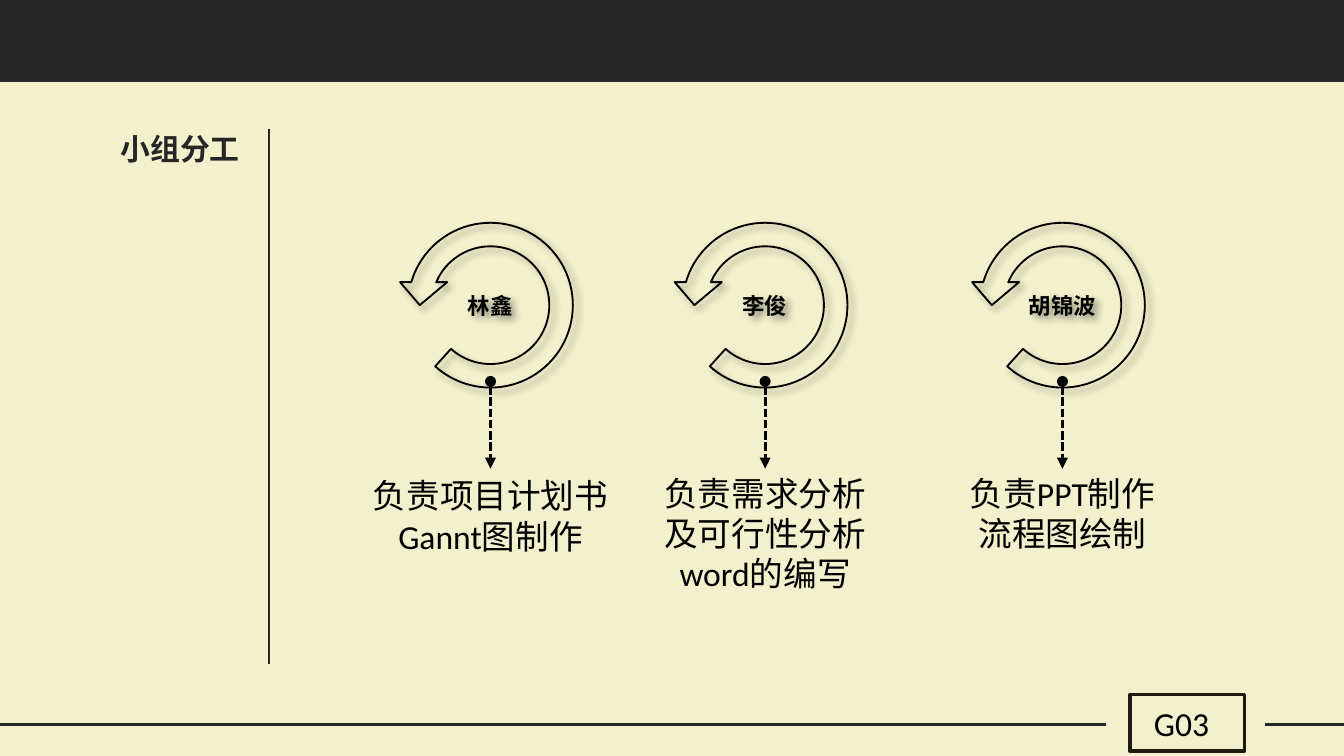
from lxml import etree
from pptx import Presentation
from pptx import util as u
from pptx.dml import color
from pptx.enum import dml, shapes, text
from pptx.oxml import ns

COLOURS = {"paper": "F3F0CD", "dark": "262626", "frame": "1E1C11", "ink": "000000"}
CJK = "Noto Sans CJK SC"
RING_ANGLES = (0.125, 11.42, 204.58, 28.75, 0.125)
RING_SIZE = 3.56
MEMBERS = [
    ("林鑫", 9.27, 8.86, 5.0, ["负责项目计划书", "Gannt图制作"]),
    ("李俊", 14.46, 8.81, 4.8, ["负责需求分析及可行性分析word的编写"]),
    ("胡锦波", 20.08, 8.81, 8.43, ["负责PPT制作", "流程图绘制"]),
]


def rgb(name):
    return color.RGBColor.from_string(COLOURS[name])


def add_xml(parent, tag, **values):
    return etree.SubElement(parent, ns.qn(tag), values)


def set_format(target, values):
    for attribute, value in values.items():
        setattr(target, attribute, value)


class Deck:
    """Holds the style and the current slide, and draws each kind of element."""

    def __init__(self, width, height):
        self.show = Presentation()
        set_format(self.show, {"slide_width": u.Cm(width), "slide_height": u.Cm(height)})
        self.slide = self.show.slides.add_slide(self.show.slide_layouts[5])
        paper = self.slide.background.fill
        paper.solid()
        paper.fore_color.rgb = rgb("paper")

    def set_text(self, holder, lines, size, font="Calibri", bold=False, ink="ink",
                 align=text.PP_ALIGN.CENTER, **frame_format):
        frame = holder.text_frame
        set_format(frame, {"word_wrap": True, "auto_size": text.MSO_AUTO_SIZE.NONE,
                           **frame_format})
        frame.text = "\n".join(lines)
        for paragraph in frame.paragraphs:
            paragraph.alignment = align
            run = paragraph.runs[0]
            set_format(run.font, {"name": font, "size": u.Pt(size), "bold": bold})
            run.font.color.rgb = rgb(ink)
            add_xml(run.font._element, "a:ea", typeface=CJK)

    def title(self, words, left, top, width, height):
        heading = self.slide.shapes.title
        set_format(heading, {"left": u.Cm(left), "top": u.Cm(top),
                             "width": u.Cm(width), "height": u.Cm(height)})
        self.set_text(heading, [words], 16, CJK, True, "dark",
                      vertical_anchor=text.MSO_ANCHOR.TOP)

    def label(self, lines, left, top, width, height, **style):
        box = self.slide.shapes.add_textbox(*map(u.Cm, (left, top, width, height)))
        self.set_text(box, lines, 18, **style)

    def block(self, kind, left, top, width, height, fill=None, line=None, weight=1):
        block = self.slide.shapes.add_shape(kind, *map(u.Cm, (left, top, width, height)))
        block.shadow.inherit = False
        if fill:
            block.fill.solid()
            block.fill.fore_color.rgb = rgb(fill)
        else:
            block.fill.background()
        if line:
            block.line.color.rgb = rgb(line)
            block.line.width = u.Pt(weight)
        else:
            block.line.fill.background()
        return block

    def ring(self, name, centre, top):
        ring = self.block(shapes.MSO_SHAPE.CIRCULAR_ARROW, centre - RING_SIZE / 2, top,
                          RING_SIZE, RING_SIZE, line="ink")
        for index, angle in enumerate(RING_ANGLES):
            ring.adjustments[index] = angle
        properties = ring._element.spPr
        properties.find(ns.qn("a:xfrm")).set("flipH", "1")
        shadow = add_xml(properties.find(ns.qn("a:effectLst")), "a:outerShdw",
                         blurRad=str(u.Pt(4)), dist=str(u.Pt(3)), dir="2700000",
                         algn="tl", rotWithShape="0")
        add_xml(add_xml(shadow, "a:srgbClr", val=COLOURS["ink"]), "a:alpha", val="40000")
        self.set_text(ring, [name], 12, CJK, True, vertical_anchor=text.MSO_ANCHOR.MIDDLE,
                      margin_left=u.Cm(0.18), margin_right=u.Cm(0.18),
                      margin_top=u.Cm(0.1), margin_bottom=u.Cm(0.1))

    def rule(self, x1, y1, x2, y2, weight, ink="dark", arrow=False):
        rule = self.slide.shapes.add_connector(shapes.MSO_CONNECTOR.STRAIGHT,
                                               *map(u.Cm, (x1, y1, x2, y2)))
        rule.line.color.rgb = rgb(ink)
        rule.line.width = u.Pt(weight)
        if arrow:
            rule.line.dash_style = dml.MSO_LINE.SQUARE_DOT
            outline = rule._element.spPr.find(ns.qn("a:ln"))
            add_xml(outline, "a:headEnd", type="oval")
            add_xml(outline, "a:tailEnd", type="triangle")
        add_xml(rule._element.spPr, "a:effectLst")


def main():
    deck = Deck(25.4, 14.29)
    deck.block(shapes.MSO_SHAPE.RECTANGLE, 0, 0, 25.4, 1.55, fill="dark")
    for start, end in ((0, 20.9), (23.9, 25.4)):
        deck.rule(start, 13.69, end, 13.69, 1.75)
    deck.title("小组分工", 1.5, 2.34, 3.81, 0.94)
    deck.rule(5.08, 2.44, 5.08, 12.55, 1.25)
    deck.block(shapes.MSO_SHAPE.RECTANGLE, 21.36, 13.13, 2.16, 1.07,
               line="frame", weight=2)
    deck.label(["G03"], 21.41, 13.16, 1.73, 1.02, align=text.PP_ALIGN.LEFT,
               margin_left=u.Cm(0.4), margin_right=0)
    for name, centre, duty_top, width, duties in MEMBERS:
        deck.rule(centre, 7.21, centre, 8.86, 1.5, "ink", arrow=True)
        deck.ring(name, centre, 3.99)
        deck.label(duties, centre - width / 2, duty_top, width, 1.8)
    deck.show.save("out.pptx")


if __name__ == "__main__":
    main()
